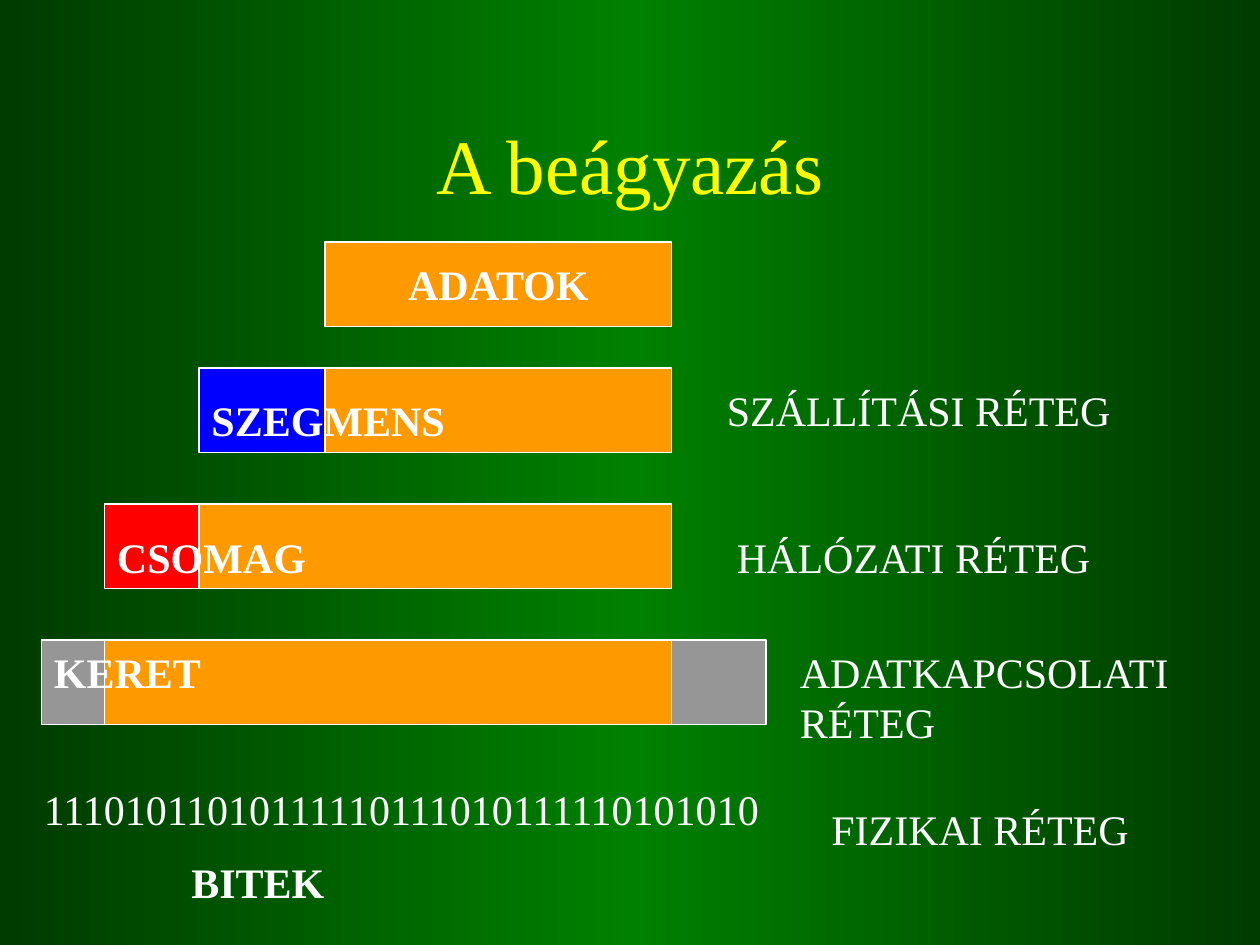
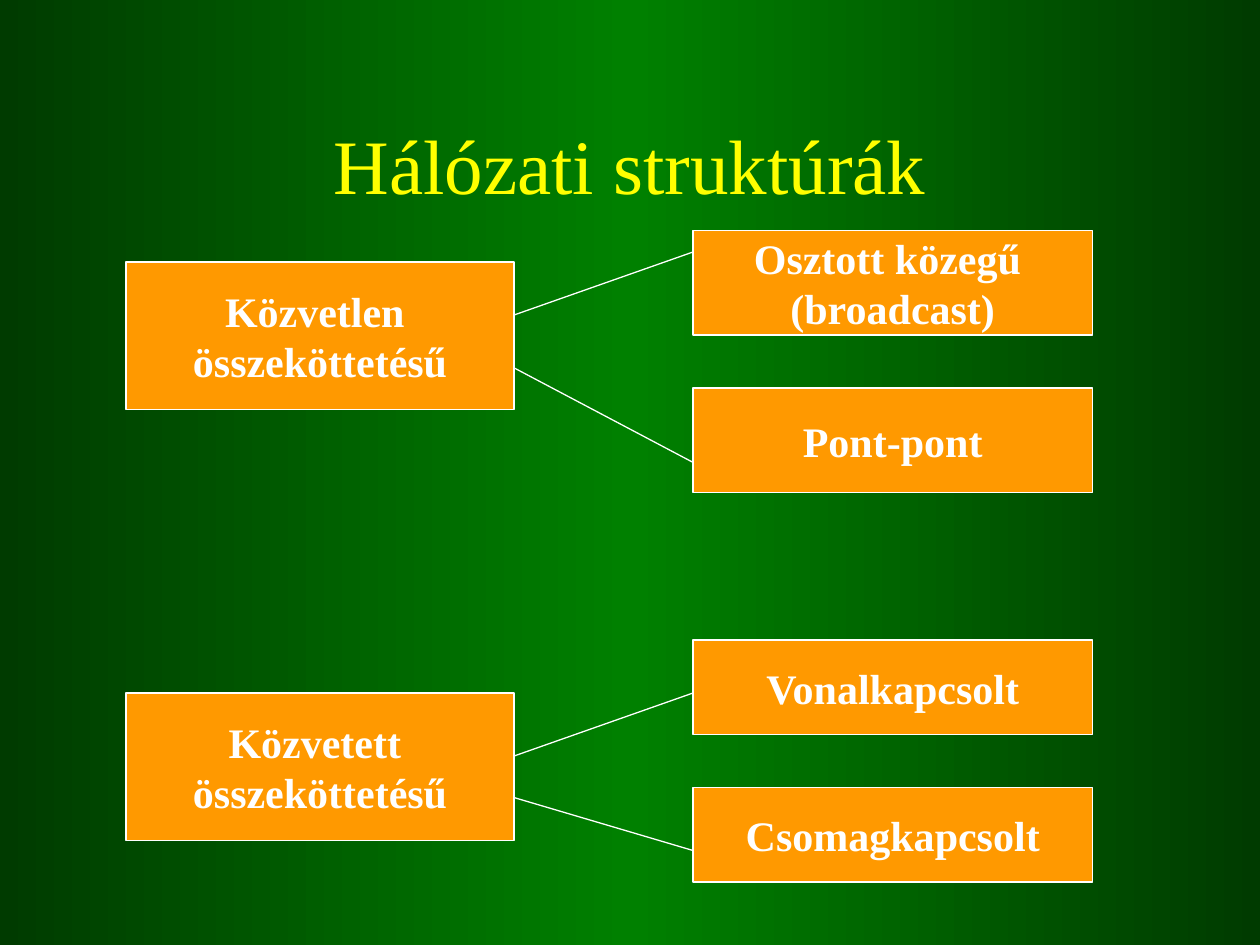
from lxml import etree
from pptx import Presentation
from pptx.dml.color import RGBColor
from pptx.enum import shapes, text
from pptx.oxml.ns import qn
from pptx.util import Inches, Pt

FONT = "Times New Roman"
COLORS = {
    "edge": "003B00",
    "middle": "008000",
    "title": "FFFF00",
    "white": "FFFFFF",
    "data": "FF9900",
    "segment": "0000FF",
    "packet": "FF0000",
    "frame": "969696",
}


def color(name):
    return RGBColor.from_string(COLORS[name])


# Shared background: a horizontal gradient on the master
def set_background(deck):
    master = deck.slide_master
    fill = master.background.fill
    fill.gradient()
    fill.gradient_angle = 0
    stops = next(master.element.iter(qn("a:gsLst")))
    for stop in list(stops):
        stops.remove(stop)
    for percent, name in ((0, "edge"), (50, "middle"), (100, "edge")):
        stop = etree.SubElement(stops, qn("a:gs"), pos=str(percent * 1000))
        etree.SubElement(stop, qn("a:srgbClr"), val=COLORS[name])


# Shared parts: text, boxes and lines
def write(shape, words, size=24, name="white", bold=False, centered=False):
    frame = shape.text_frame
    frame.text = words
    for para in frame.paragraphs:
        para.alignment = text.PP_ALIGN.CENTER if centered else text.PP_ALIGN.LEFT
        for span in para.runs:
            span.font.name = FONT
            span.font.size = Pt(size)
            span.font.bold = bold
            span.font.color.rgb = color(name)
    return frame


def add_label(page, left, top, width, words, height=0.5, **style):
    box = page.shapes.add_textbox(Inches(left), Inches(top), Inches(width), Inches(height))
    frame = write(box, words, **style)
    frame.word_wrap = True
    return frame


def add_title(page, words):
    frame = add_label(page, 0.75, 0.67, 8.5, words, height=1.25,
                      size=44, name="title", centered=True)
    frame.vertical_anchor = text.MSO_ANCHOR.MIDDLE


def add_box(page, left, top, width, height, fill="data", words=None):
    box = page.shapes.add_shape(shapes.MSO_SHAPE.RECTANGLE, Inches(left), Inches(top),
                                Inches(width), Inches(height))
    box.shadow.inherit = False
    box.fill.solid()
    box.fill.fore_color.rgb = color(fill)
    box.line.color.rgb = color("white")
    box.line.width = Pt(0.75)
    if words:
        frame = write(box, words, bold=True, centered=True)
        frame.word_wrap = False
        frame.vertical_anchor = text.MSO_ANCHOR.MIDDLE


def add_line(page, start, end):
    line = page.shapes.add_connector(shapes.MSO_CONNECTOR.STRAIGHT,
                                     *(Inches(value) for value in (*start, *end)))
    line.line.color.rgb = color("white")
    line.line.width = Pt(0.75)
    etree.SubElement(line._element.spPr, qn("a:effectLst"))


# Encapsulation: each layer puts a header before the previous unit
DATA_LEFT, DATA_RIGHT, ROW_HEIGHT = 2.58, 5.33, 0.67


def add_unit(page, top, payload_left, header, fill, words, text_drop, trailer=0):
    left = payload_left - header
    add_box(page, payload_left, top, DATA_RIGHT - payload_left, ROW_HEIGHT)
    add_box(page, left, top, header, ROW_HEIGHT, fill)
    if trailer:
        add_box(page, DATA_RIGHT, top, trailer, ROW_HEIGHT, fill)
    add_label(page, left, top + text_drop, DATA_RIGHT + trailer - left, words, bold=True)
    return left


def build_encapsulation(page):
    add_title(page, "A beágyazás")
    add_box(page, DATA_LEFT, 1.92, DATA_RIGHT - DATA_LEFT, ROW_HEIGHT, words="ADATOK")
    left = DATA_LEFT
    for top, header, fill, words, text_drop, trailer in (
        (2.92, 1, "segment", "SZEGMENS", 0.16, 0),
        (4, 0.75, "packet", "CSOMAG", 0.17, 0),
        (5.08, 0.5, "frame", "KERET", 0, 0.75),
    ):
        left = add_unit(page, top, left, header, fill, words, text_drop, trailer)

    # Bit stream
    add_label(page, 0.25, 6.17, 6.08, "11101011010111110111010111110101010")
    add_label(page, 1.42, 6.75, 2.75, "BITEK", bold=True)

    # Layer names
    for left, top, width, height, words in (
        (5.67, 3, 3.25, 0.5, "SZÁLLÍTÁSI RÉTEG"),
        (5.75, 4.17, 3.08, 0.5, "HÁLÓZATI RÉTEG"),
        (6.25, 5.08, 3.33, 0.9, "ADATKAPCSOLATI RÉTEG"),
        (6.5, 6.33, 3, 0.5, "FIZIKAI RÉTEG"),
    ):
        add_label(page, left, top, width, words, height)


# Network structures: one kind of connection branching into two variants
def add_branching(page, top, words, kind_drop, variant_height, variants):
    kind_left, kind_width, variant_left = 1, 3.08, 5.5
    add_box(page, kind_left, top + kind_drop, kind_width, 1.17, words=words)
    for variant, drop, line_start, line_end in variants:
        add_box(page, variant_left, top + drop, 3.17, variant_height, words=variant)
        add_line(page, (kind_left + kind_width, top + line_start),
                 (variant_left, top + line_end))


def build_structures(page):
    add_title(page, "Hálózati struktúrák")
    add_branching(page, 1.83, "Közvetlen \nösszeköttetésű", 0.25, 0.83, (
        ("Osztott közegű \n(broadcast)", 0, 0.67, 0.17),
        ("Pont-pont", 1.25, 1.09, 1.84),
    ))
    add_branching(page, 5.08, "Közvetett \nösszeköttetésű", 0.42, 0.75, (
        ("Vonalkapcsolt", 0, 0.92, 0.42),
        ("Csomagkapcsolt", 1.17, 1.25, 1.67),
    ))


def main():
    deck = Presentation()
    deck.slide_width, deck.slide_height = Inches(10), Inches(7.5)
    set_background(deck)
    for build in (build_encapsulation, build_structures):
        build(deck.slides.add_slide(deck.slide_layouts[6]))
    deck.save("out.pptx")


if __name__ == "__main__":
    main()
